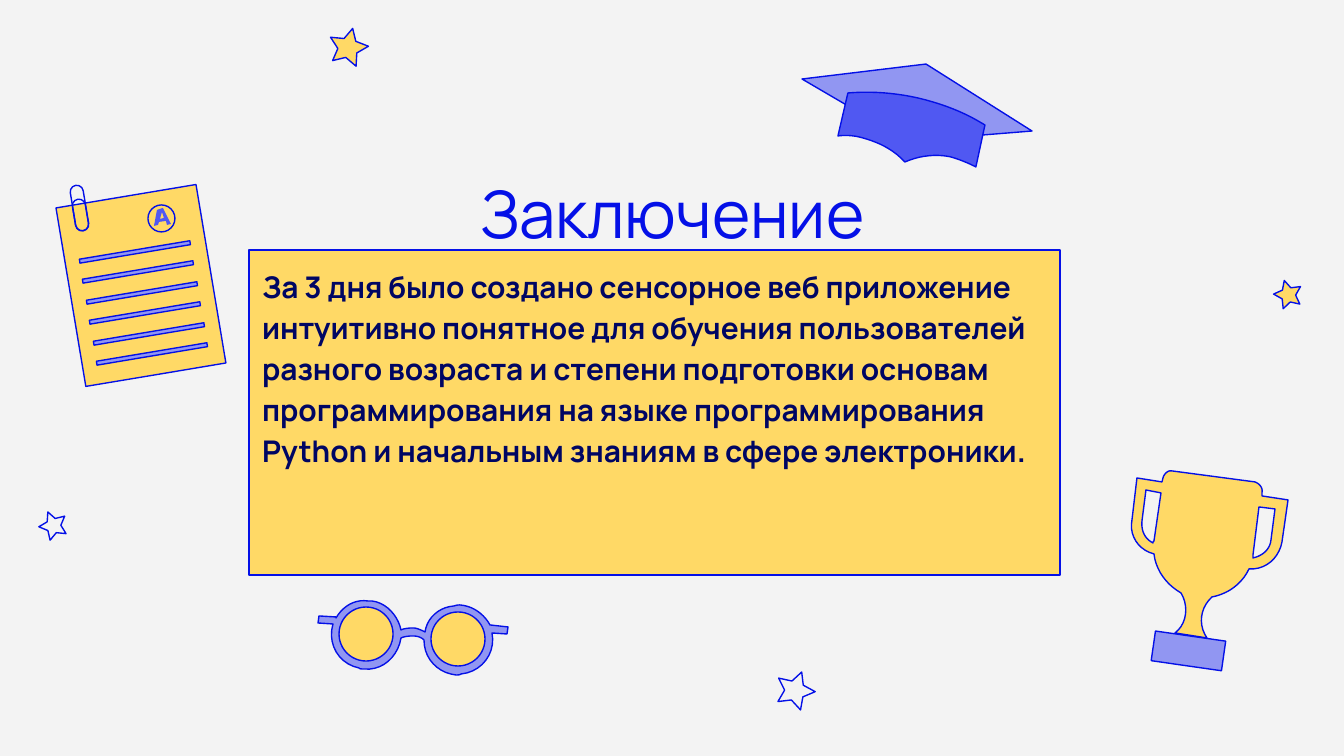
from pptx import Presentation
from pptx.dml.color import RGBColor
from pptx.enum.shapes import MSO_SHAPE
from pptx.enum.text import MSO_ANCHOR, PP_ALIGN
from pptx.util import Pt

SCALE = 9144000 / 1344
COLORS = {
    "background": "F3F3F3",
    "outline": "0410E7",
    "yellow": "FFD966",
    "lilac": "9196F2",
    "violet": "5058F2",
    "navy": "000663",
}

presentation = Presentation()
presentation.slide_width = round(1344 * SCALE)
presentation.slide_height = round(756 * SCALE)
slide = presentation.slides.add_slide(presentation.slide_layouts[6])
slide.background.fill.solid()
slide.background.fill.fore_color.rgb = RGBColor.from_string(COLORS["background"])


def add_preset(kind, left, top, width, height, fill=None, rotation=0):
    frame = [round(length * SCALE) for length in (left, top, width, height)]
    shape = slide.shapes.add_shape(kind, *frame)
    shape.shadow.inherit = False
    shape.rotation = rotation
    if fill:
        shape.fill.solid()
        shape.fill.fore_color.rgb = RGBColor.from_string(COLORS[fill])
    else:
        shape.fill.background()
    shape.line.color.rgb = RGBColor.from_string(COLORS["outline"])
    shape.line.width = Pt(0.75)
    return shape


def add_outline(contours, fill):
    builder = None
    for contour in contours:
        points = [contour[0]]
        for step in contour[1:]:
            if len(step) == 2:
                points.append(step)
                continue
            x0, y0 = points[-1]
            x1, y1, x2, y2, x3, y3 = step
            for t in [i / 10 for i in range(1, 11)]:
                a, b, c, d = (1 - t) ** 3, 3 * t * (1 - t) ** 2, 3 * t * t * (1 - t), t ** 3
                points.append((a * x0 + b * x1 + c * x2 + d * x3,
                               a * y0 + b * y1 + c * y2 + d * y3))
        points = [(round(x * SCALE), round(y * SCALE)) for x, y in points]
        if builder is None:
            builder = slide.shapes.build_freeform(*points[0])
        else:
            builder.move_to(*points[0])
        builder.add_line_segments(points[1:], close=True)
    shape = builder.convert_to_shape()
    shape.shadow.inherit = False
    shape.fill.solid()
    shape.fill.fore_color.rgb = RGBColor.from_string(COLORS[fill])
    shape.line.color.rgb = RGBColor.from_string(COLORS["outline"])
    shape.line.width = Pt(0.75)
    return shape


for left, top, width, height, fill, rotation in [
    (329, 28, 39, 36, "yellow", 13.4),
    (39, 511, 28, 27, None, 337.7),
    (776, 671, 39, 36, None, 20.3),
    (1274, 280, 28, 27, "yellow", 344.4),
]:
    star = add_preset(MSO_SHAPE.STAR_5_POINT, left, top, width, height, fill, rotation)
    star.adjustments[0] = 0.25

title = slide.shapes.add_textbox(*[round(length * SCALE) for length in (423, 172, 499, 93)])
body = add_preset(MSO_SHAPE.RECTANGLE, 249, 250, 811, 325, "yellow")
for shape, text, size, color, bold, anchor, alignment, spacing in [
    (title, "Заключение", 35, "outline", False, MSO_ANCHOR.BOTTOM, PP_ALIGN.CENTER, 1.0),
    (body, "За 3 дня было создано сенсорное веб приложение интуитивно понятное "
           "для обучения пользователей разного возраста и степени подготовки основам "
           "программирования на языке программирования Python и начальным знаниям "
           "в сфере электроники.", 16, "navy", True, MSO_ANCHOR.TOP, PP_ALIGN.LEFT, 1.15),
]:
    frame = shape.text_frame
    frame.word_wrap = True
    frame.vertical_anchor = anchor
    frame.margin_left = frame.margin_right = round(13 * SCALE)
    frame.margin_top = frame.margin_bottom = round(13 * SCALE)
    paragraph = frame.paragraphs[0]
    paragraph.text = text
    paragraph.alignment = alignment
    paragraph.line_spacing = spacing
    paragraph.font.name = "Manrope"
    paragraph.font.size = Pt(size)
    paragraph.font.bold = bold
    paragraph.font.color.rgb = RGBColor.from_string(COLORS[color])

add_preset(MSO_SHAPE.RECTANGLE, 1153, 636, 71, 30, "lilac", 8.2)
trophy_left_hole = [
    (1161, 493), (1154, 541), (1153, 542, 1153, 542, 1153, 543),
    (1145, 539, 1141, 531, 1142, 521), (1146, 490),
]
trophy_right_hole = [
    (1275, 509), (1271, 540), (1270, 550, 1262, 556, 1253, 558),
    (1253, 556, 1253, 555, 1253, 555), (1259, 507),
]
trophy_cup = [
    (1172, 471), (1168, 470, 1164, 474, 1163, 478), (1162, 482), (1137, 478),
    (1132, 520), (1129, 535, 1138, 550, 1154, 554),
    (1156, 571, 1167, 585, 1181, 593), (1189, 606, 1187, 624, 1175, 633),
    (1207, 638), (1198, 625, 1200, 608, 1212, 597),
    (1228, 594, 1242, 584, 1249, 569), (1266, 570, 1279, 558, 1282, 542),
    (1288, 500), (1262, 496), (1262, 493), (1263, 488, 1260, 484, 1255, 482),
]
add_outline([trophy_left_hole, trophy_right_hole, trophy_cup], "yellow")

PAGE_TILT = 350.5
add_preset(MSO_SHAPE.RECTANGLE, 70, 195, 142, 181, "yellow", PAGE_TILT)
for row in range(6):
    add_preset(MSO_SHAPE.RECTANGLE, 79 + 7 * row // 2, 250 + 41 * row // 2,
               112, 4, "lilac", PAGE_TILT)
for left, top, height in [(73, 185, 46), (74, 199, 32)]:
    clip = add_preset(MSO_SHAPE.ROUNDED_RECTANGLE, left, top, 13, height, None, PAGE_TILT)
    clip.adjustments[0] = 0.5
grade_hole = [(162, 212), (164, 218), (160, 219)]
grade_letter = [(157, 210), (154, 226), (158, 225), (159, 222),
                (166, 221), (167, 225), (171, 224), (163, 208)]
grade = add_outline([grade_hole, grade_letter], "violet")
grade.line.fill.background()
add_preset(MSO_SHAPE.OVAL, 148, 205, 27, 27)

glasses_frame = [
    (460, 605), (458, 605, 457, 605, 454, 606), (439, 607, 427, 618, 425, 632),
    (421, 630, 417, 628, 413, 628), (407, 628, 403, 629, 401, 630),
    (398, 616, 387, 603, 372, 601), (371, 601, 370, 601, 368, 601),
    (355, 599, 343, 606, 336, 618), (336, 617), (319, 616), (318, 623), (333, 624),
    (327, 644, 339, 664, 359, 668), (360, 669, 361, 669, 364, 669),
    (382, 671, 398, 657, 401, 638), (403, 637, 407, 636, 413, 636),
    (417, 636, 421, 637, 424, 640), (424, 659, 438, 673, 456, 675),
    (458, 675, 460, 675, 461, 674), (482, 672, 496, 653, 492, 633),
    (507, 634), (508, 627), (490, 625), (484, 614, 473, 606, 460, 605),
]
add_outline([glasses_frame], "lilac")
for left, top in [(339, 607), (431, 612)]:
    add_preset(MSO_SHAPE.OVAL, left, top, 54, 54, "yellow")

cap_board = [(926, 64), (802, 79), (908, 141), (1032, 131)]
cap_band = [
    (918, 98), (896, 93, 871, 91, 848, 93), (838, 136),
    (838, 136, 850, 134, 863, 138), (877, 142, 892, 148, 905, 162),
    (921, 155, 938, 154, 951, 157), (965, 161, 976, 167, 976, 167),
    (985, 125), (964, 112, 943, 104, 918, 98),
]
add_outline([cap_board], "lilac")
add_outline([cap_band], "violet")

presentation.save("out.pptx")
